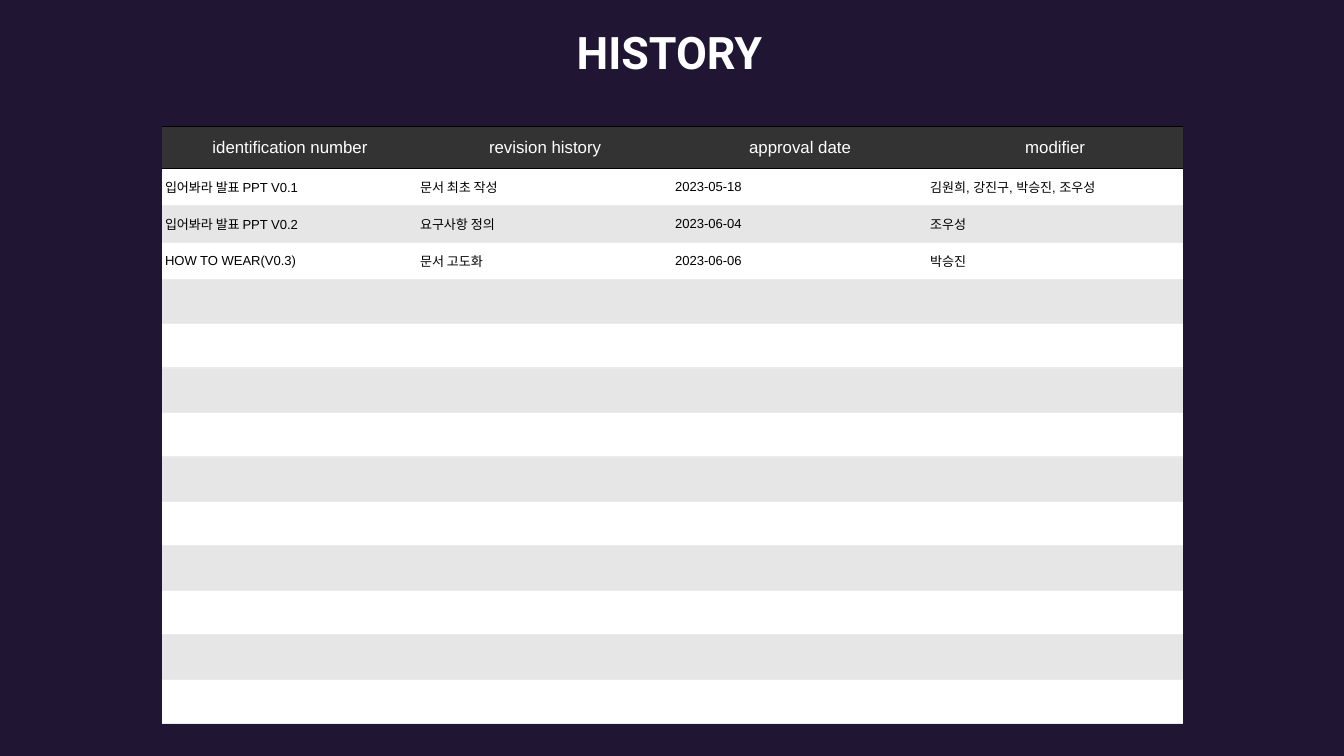
"""Build the document revision history slide."""
from lxml import etree
from pptx import Presentation
from pptx.dml.color import RGBColor
from pptx.enum import text
from pptx.oxml import ns
from pptx.util import Cm, Pt

TITLE = "HISTORY"
HEADERS = ["identification number", "revision history", "approval date", "modifier"]
REVISIONS = [
    ("입어봐라 발표 PPT V0.1", "문서 최초 작성", "2023-05-18", "김원희, 강진구, 박승진, 조우성"),
    ("입어봐라 발표 PPT V0.2", "요구사항 정의", "2023-06-04", "조우성"),
    ("HOW TO WEAR(V0.3)", "문서 고도화", "2023-06-06", "박승진"),
]
EMPTY_ROWS = 10

NAVY = RGBColor(0x20, 0x15, 0x33)
CHARCOAL = RGBColor(0x33, 0x33, 0x33)
BLACK = RGBColor(0, 0, 0)
WHITE = RGBColor(0xFF, 0xFF, 0xFF)
BAND = RGBColor(0xE7, 0xE6, 0xE6)
RULE = RGBColor(0xEB, 0xEB, 0xEB)

COL_WIDTH = Cm(4.82)
HEADER_HEIGHT, FILLED_HEIGHT, EMPTY_HEIGHT = Cm(0.79), Cm(0.7), Cm(0.84)


def set_font(p, name, size, color, bold=False):
    p.font.name, p.font.size, p.font.bold = name, Pt(size), bold
    p.font.color.rgb = color


def set_borders(cell, top, bottom):
    tc_pr = cell._tc.get_or_add_tcPr()
    borders = [("a:lnL", None), ("a:lnR", None), ("a:lnT", top), ("a:lnB", bottom)]
    for i, (tag, color) in enumerate(borders):
        ln = etree.Element(ns.qn(tag), w=str(Pt(0.75)))
        if color is None:
            etree.SubElement(ln, ns.qn("a:noFill"))
        else:
            fill = etree.SubElement(ln, ns.qn("a:solidFill"))
            etree.SubElement(fill, ns.qn("a:srgbClr"), val=str(color))
        tc_pr.insert(i, ln)


def add_title(s):
    tf = s.shapes.add_textbox(Cm(10.72), Cm(0.36), Cm(3.96), Cm(1.22)).text_frame
    tf.word_wrap = False
    tf.auto_size = text.MSO_AUTO_SIZE.SHAPE_TO_FIT_TEXT
    tf.margin_left = tf.margin_right = Cm(0.18)
    tf.margin_top = tf.margin_bottom = Cm(0.1)
    p = tf.paragraphs[0]
    p.text = TITLE
    set_font(p, "Roboto", 24, WHITE, bold=True)


def style_cell(cell, value, row):
    header = row == 0
    cell.fill.solid()
    cell.fill.fore_color.rgb = CHARCOAL if header else WHITE if row % 2 else BAND
    cell.vertical_anchor = text.MSO_ANCHOR.MIDDLE
    cell.margin_left = cell.margin_right = cell.margin_top = Cm(0.05)
    cell.margin_bottom = Cm(0.03)
    p = cell.text_frame.paragraphs[0]
    if value:
        p.text = value
    p.alignment = text.PP_ALIGN.CENTER if header else text.PP_ALIGN.LEFT
    set_font(p, "Arial", 9 if header else 7, WHITE if header else BLACK)
    set_borders(cell, BLACK if row <= 1 else RULE, BLACK if header else RULE)


def add_history_table(s):
    rows = [HEADERS, *REVISIONS] + [[""] * len(HEADERS)] * EMPTY_ROWS
    heights = ([HEADER_HEIGHT] + [FILLED_HEIGHT] * len(REVISIONS)
               + [EMPTY_HEIGHT] * EMPTY_ROWS)
    table = s.shapes.add_table(len(rows), len(HEADERS), Cm(3.07), Cm(2.39),
                               COL_WIDTH * len(HEADERS), sum(heights)).table
    table.first_row = table.horz_banding = False
    for column in table.columns:
        column.width = COL_WIDTH
    for r, (values, height) in enumerate(zip(rows, heights)):
        table.rows[r].height = height
        for c, value in enumerate(values):
            style_cell(table.cell(r, c), value, r)


def main():
    prs = Presentation()
    prs.slide_width, prs.slide_height = Cm(25.4), Cm(14.29)
    s = prs.slides.add_slide(prs.slide_layouts[6])
    s.background.fill.solid()
    s.background.fill.fore_color.rgb = NAVY
    add_title(s)
    add_history_table(s)
    prs.save("out.pptx")


if __name__ == "__main__":
    main()
